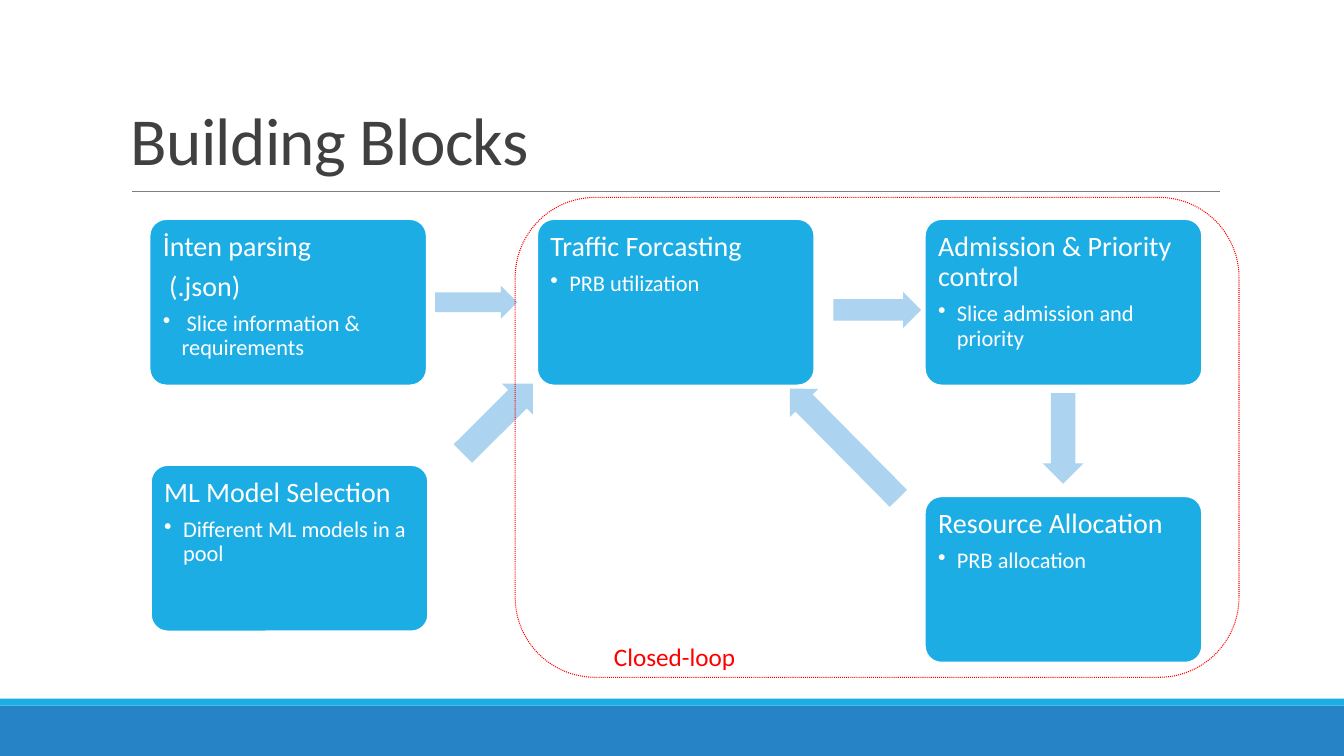
import pptx
import pptx.util
import pptx.dml.color
import pptx.enum.dml
import pptx.enum.shapes
import pptx.enum.text
import pptx.oxml.ns
from lxml import etree

Pt = pptx.util.Pt
RGBColor = pptx.dml.color.RGBColor
SHAPE = pptx.enum.shapes.MSO_SHAPE

WHITE = RGBColor(0xFF, 0xFF, 0xFF)
BAND_BLUE = RGBColor(0x26, 0x83, 0xC6)
BLOCK_BLUE = RGBColor(0x1C, 0xAD, 0xE4)
ARROW_BLUE = RGBColor(0xAC, 0xD3, 0xEF)
TITLE_GREY = RGBColor(0x40, 0x40, 0x40)
RULE_GREY = RGBColor(0x80, 0x80, 0x80)
LOOP_RED = RGBColor(0xFF, 0, 0)

SLIDE_W, SLIDE_H = 960, 540
BLOCK_W, BLOCK_H = 198, 118.8
TOP_ROW = 156.5
LEFT_COL, MIDDLE_COL, RIGHT_COL = 106.8, 383.7, 660.6

# left, top, headings, detail
BLOCKS = [
    (LEFT_COL, TOP_ROW, ["İnten parsing", " (.json)"], " Slice information & requirements"),
    (MIDDLE_COL, TOP_ROW, ["Traffic Forcasting"], "PRB utilization"),
    (RIGHT_COL, TOP_ROW, ["Admission & Priority control"], "Slice admission and priority"),
    (RIGHT_COL, 354.5, ["Resource Allocation"], "PRB allocation"),
    (LEFT_COL + 1, 332.2, ["ML Model Selection"], "Different ML models in a pool"),
]
# left, top, width, height, rotation
ARROWS = [
    (310.8, 204.3, 58.7, 23.3, 0),
    (595.4, 208.5, 62.6, 25.8, 0),
    (727, 298.6, 64.8, 29.2, 90),
    (547.9, 302.4, 110.2, 28.8, 225.3),
    (320.4, 283.5, 70.6, 31.1, 315.1),
]


def add_filled(slide, preset, box, color):
    shape = slide.shapes.add_shape(preset, *map(Pt, box))
    shape.shadow.inherit = False
    shape.fill.solid()
    shape.fill.fore_color.rgb = color
    shape.line.fill.background()
    return shape


def style_paragraph(paragraph, size, color):
    for run in paragraph.runs:
        run.font.name = "Calibri"
        run.font.size = Pt(size)
        run.font.color.rgb = color


def add_label(slide, box, text, size, color, wrap):
    label = slide.shapes.add_textbox(*map(Pt, box))
    label.text_frame.word_wrap = wrap
    label.text_frame.text = text
    style_paragraph(label.text_frame.paragraphs[0], size, color)
    return label


def add_footer(slide, left, top, width, height):
    stripe = 5
    add_filled(slide, SHAPE.RECTANGLE, (left, top + stripe, width, height - stripe), BAND_BLUE)
    add_filled(slide, SHAPE.RECTANGLE, (left, top, width, stripe), BLOCK_BLUE)


def add_header(slide, left, top, width, height):
    rule_y = top + height + 5
    rule = slide.shapes.add_connector(
        pptx.enum.shapes.MSO_CONNECTOR.STRAIGHT,
        Pt(left + 8), Pt(rule_y), Pt(left + width - 7), Pt(rule_y))
    rule.line.color.rgb = RULE_GREY
    rule.line.width = Pt(0.5)
    etree.SubElement(rule._element.spPr, pptx.oxml.ns.qn("a:effectLst"))

    title = add_label(slide, (left, top, width, height), "Building Blocks", 48, TITLE_GREY, True)
    title.text_frame.vertical_anchor = pptx.enum.text.MSO_ANCHOR.BOTTOM
    paragraph = title.text_frame.paragraphs[0]
    paragraph.line_spacing = 0.85
    paragraph.runs[0].font._element.set("spc", "-50")


def add_bullet(paragraph):
    properties = paragraph._p.get_or_add_pPr()
    indent = Pt(13.5)
    properties.set("marL", str(indent))
    properties.set("indent", str(-indent))
    bullet = etree.SubElement(properties, pptx.oxml.ns.qn("a:buChar"))
    bullet.set("char", "•")


def add_block(slide, left, top, headings, detail):
    block = add_filled(slide, SHAPE.ROUNDED_RECTANGLE, (left, top, BLOCK_W, BLOCK_H), BLOCK_BLUE)
    block.adjustments[0] = 0.1
    block.line.color.rgb = WHITE
    block.line.width = Pt(1.25)
    frame = block.text_frame
    frame.word_wrap = True
    frame.vertical_anchor = pptx.enum.text.MSO_ANCHOR.TOP
    frame.margin_left = frame.margin_right = Pt(6)
    frame.margin_top = frame.margin_bottom = Pt(6)
    frame.text = "\n".join([*headings, detail])
    for paragraph in frame.paragraphs:
        paragraph.alignment = pptx.enum.text.PP_ALIGN.LEFT
        paragraph.line_spacing = 0.9
        paragraph.space_after = Pt(7)
        style_paragraph(paragraph, 20, WHITE)
    detail_line = frame.paragraphs[-1]
    detail_line.space_after = Pt(2.4)
    style_paragraph(detail_line, 16, WHITE)
    add_bullet(detail_line)


def add_arrow(slide, left, top, width, height, rotation):
    arrow = add_filled(slide, SHAPE.RIGHT_ARROW, (left, top, width, height), ARROW_BLUE)
    arrow.adjustments[0] = 0.6
    arrow.adjustments[1] = 0.5
    arrow.rotation = rotation


def add_closed_loop(slide, left, top, width, height):
    loop = add_filled(slide, SHAPE.FLOWCHART_ALTERNATE_PROCESS, (left, top, width, height), WHITE)
    loop.fill.background()
    loop.line.color.rgb = LOOP_RED
    loop.line.width = Pt(0.75)
    loop.line.dash_style = pptx.enum.dml.MSO_LINE.ROUND_DOT
    label_box = (left + 63.4, top + height - 29.5, 102.2, 29)
    add_label(slide, label_box, "Closed-loop", 18, LOOP_RED, False)


def main():
    presentation = pptx.Presentation()
    presentation.slide_width = Pt(SLIDE_W)
    presentation.slide_height = Pt(SLIDE_H)
    slide = presentation.slides.add_slide(presentation.slide_layouts[6])
    add_footer(slide, 0, SLIDE_H - 41, SLIDE_W, 41)
    add_header(slide, 86.4, 17.3, 792, 114.5)
    for block in BLOCKS:
        add_block(slide, *block)
    for arrow in ARROWS:
        add_arrow(slide, *arrow)
    add_closed_loop(slide, 368, 141, 517, 342.8)
    presentation.save("out.pptx")


if __name__ == "__main__":
    main()
